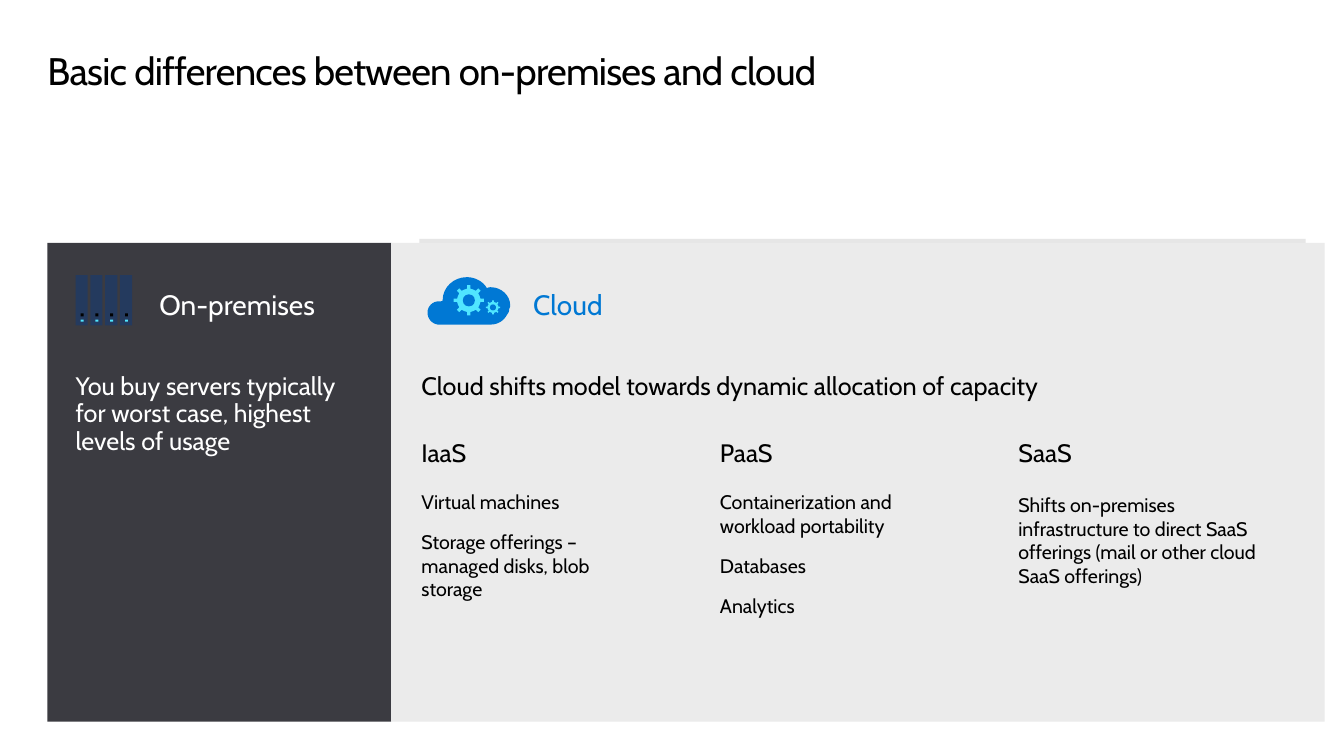
"""Build a slide comparing on-premises servers with cloud service models."""
from math import cos, pi, sin

from pptx import Presentation
from pptx import util as u
from pptx.dml.color import RGBColor
from pptx.enum import shapes, text

BLACK = RGBColor(0x00, 0x00, 0x00)
WHITE = RGBColor(0xFF, 0xFF, 0xFF)
CHARCOAL = RGBColor(0x3B, 0x3B, 0x41)
PALE_GREY = RGBColor(0xEB, 0xEB, 0xEB)
EDGE_GREY = RGBColor(0xE6, 0xE6, 0xE6)
HEADING_BLUE = RGBColor(0x00, 0x78, 0xD3)
CLOUD_BLUE = RGBColor(0x00, 0x78, 0xD4)
CYAN = RGBColor(0x50, 0xE6, 0xFF)
NAVY = RGBColor(0x24, 0x3A, 0x5E)

RECTANGLE = shapes.MSO_SHAPE.RECTANGLE
OVAL = shapes.MSO_SHAPE.OVAL

CLOUD_START = (5.05, 3.07)
CLOUD_CURVES = [
    ((5.05, 3.06), (5.06, 3.05), (5.06, 3.03)),
    ((5.06, 2.93), (4.97, 2.85), (4.87, 2.85)),
    ((4.86, 2.85), (4.84, 2.85), (4.83, 2.86)),
    ((4.79, 2.79), (4.71, 2.75), (4.63, 2.75)),
    ((4.5, 2.75), (4.39, 2.85), (4.39, 2.98)),
    ((4.39, 2.99), (4.37, 2.99), (4.35, 2.99)),
    ((4.29, 2.99), (4.24, 3.04), (4.24, 3.1)),
    ((4.24, 3.16), (4.28, 3.21), (4.34, 3.22)),
    ((4.5, 3.22), (4.7, 3.22), (4.87, 3.22)),
    ((4.94, 3.22), (5, 3.18), (5.03, 3.12)),
    ((5.04, 3.11), (5.05, 3.09), (5.05, 3.07)),
]

SERVICE_MODELS = [
    ("IaaS", 4.86, 2.22, 1.11,
     ["Virtual machines", "Storage offerings – managed disks, blob storage"]),
    ("PaaS", 4.86, 2.22, 1.28,
     ["Containerization and workload portability", "Databases", "Analytics"]),
    ("SaaS", 4.89, 2.52, 0.71,
     ["Shifts on-premises infrastructure to direct SaaS offerings "
      "(mail or other cloud SaaS offerings)"]),
]


def curve_points(start, curves, steps=8):
    """Sample points along joined cubic curves."""
    points = [start]
    for first, second, end in curves:
        begin = points[-1]
        for step in range(1, steps + 1):
            t = step / steps
            points.append(tuple(
                (1 - t) ** 3 * a + 3 * (1 - t) ** 2 * t * b
                + 3 * (1 - t) * t ** 2 * c + t ** 3 * d
                for a, b, c, d in zip(begin, first, second, end)))
    return points


def gear_points(x, y, radius, teeth=8):
    """Return the outline of a gear with square teeth."""
    root, half = 0.77 * radius, 0.11 * radius
    points = []
    for tooth in range(teeth):
        angle = 2 * pi * tooth / teeth
        for along, across in ((root, -half), (radius, -half), (radius, half), (root, half)):
            points.append((x + along * cos(angle) - across * sin(angle),
                           y + along * sin(angle) + across * cos(angle)))
        valley = angle + pi / teeth
        points.append((x + root * cos(valley), y + root * sin(valley)))
    return points


class SlideBuilder:
    """Hold the font and slide, and draw each kind of element."""

    font = "Cabin"

    def __init__(self, deck):
        self.slide = deck.slides.add_slide(deck.slide_layouts[5])

    def group(self):
        return self.slide.shapes.add_group_shape().shapes

    def paint(self, shape, colour):
        shape.shadow.inherit = False
        shape.fill.solid()
        shape.fill.fore_color.rgb = colour
        shape.line.fill.background()

    def block(self, left, top, width, height, colour, kind=RECTANGLE, parent=None):
        parent = parent or self.slide.shapes
        shape = parent.add_shape(kind, *map(u.Inches, (left, top, width, height)))
        self.paint(shape, colour)

    def outline(self, points, colour, parent):
        corners = [(u.Inches(x), u.Inches(y)) for x, y in points]
        builder = parent.build_freeform(*corners[0])
        builder.add_line_segments(corners[1:], close=True)
        self.paint(builder.convert_to_shape(), colour)

    def gear(self, x, y, radius, hub, parent):
        self.outline(gear_points(x, y, radius), CYAN, parent)
        self.block(x - hub, y - hub, 2 * hub, 2 * hub, CLOUD_BLUE, OVAL, parent)

    def set_text(self, box, lines, size, colour, spacing=1.0, after=0, insets=(0, 0, 0, 0)):
        frame = box.text_frame
        frame.word_wrap = True
        frame.auto_size = text.MSO_AUTO_SIZE.NONE
        frame.vertical_anchor = text.MSO_ANCHOR.TOP
        (frame.margin_left, frame.margin_top,
         frame.margin_right, frame.margin_bottom) = map(u.Inches, insets)
        for index, line in enumerate(lines):
            para = frame.paragraphs[0] if index == 0 else frame.add_paragraph()
            para.add_run().text = line
            para.alignment = text.PP_ALIGN.LEFT
            para.line_spacing = spacing
            para.space_before = u.Pt(0)
            para.space_after = u.Pt(after)
            para.font.name = self.font
            para.font.size = u.Pt(size)
            para.font.color.rgb = colour

    def title(self, line):
        box = self.slide.shapes.title
        box.left, box.top, box.width, box.height = map(u.Inches, (0.47, 0.49, 12.36, 0.89))
        self.set_text(box, [line], 27.4, BLACK, u.Pt(31.4))
        span = box.text_frame.paragraphs[0].runs[0]
        span._r.get_or_add_rPr().set("spc", "-50")

    def label(self, left, top, width, height, lines, size, colour=BLACK, **style):
        box = self.slide.shapes.add_textbox(*map(u.Inches, (left, top, width, height)))
        self.set_text(box, lines, size, colour, **style)

    def servers(self):
        rack = self.group()
        for index in range(4):
            left = 0.75 + 0.44 * index / 3
            self.block(left, 2.73, 0.12, 0.5, NAVY, parent=rack)
            self.block(left + 0.05, 3.17, 0.03, 0.02, CYAN, parent=rack)
            self.block(left + 0.05, 3.11, 0.03, 0.03, BLACK, parent=rack)

    def cloud(self):
        icon = self.group()
        self.outline(curve_points(CLOUD_START, CLOUD_CURVES), CLOUD_BLUE, icon)
        self.gear(4.65, 2.98, 0.15, 0.06, icon)
        self.gear(4.89, 3.05, 0.07, 0.03, icon)


def main():
    deck = Presentation()
    deck.slide_width, deck.slide_height = u.Inches(13.33), u.Inches(7.5)
    page = SlideBuilder(deck)
    page.title("Basic differences between on-premises and cloud")
    page.block(4.16, 2.37, 8.79, 3.96, EDGE_GREY)
    page.block(0.47, 2.41, 3.41, 4.75, CHARCOAL)
    page.block(3.88, 2.41, 9.26, 4.75, PALE_GREY)

    tight = {"spacing": 0.9, "after": 6}
    page.label(1.58, 2.84, 2.84, 0.4, ["On-premises"], 20, WHITE,
               insets=(0, 0.05, 0.1, 0.05), **tight)
    page.label(0.75, 3.71, 2.79, 0.82,
               ["You buy servers typically for worst case, highest levels of usage"],
               18, WHITE, **tight)
    page.label(5.19, 2.84, 1.37, 0.4, ["Cloud"], 20, HEADING_BLUE,
               insets=(0.1, 0.05, 0.1, 0.05), **tight)
    page.cloud()
    page.servers()
    page.label(4.18, 3.71, 6.6, 0.27,
               ["Cloud shifts model towards dynamic allocation of capacity"], 18, **tight)

    for index, (name, top, width, height, lines) in enumerate(SERVICE_MODELS):
        left = 4.18 + 2.96 * index
        page.label(left, 4.34, 2.01, 0.3, [name], 18)
        page.label(left, top, width, height, lines, 14, after=12)
    deck.save("out.pptx")


if __name__ == "__main__":
    main()
